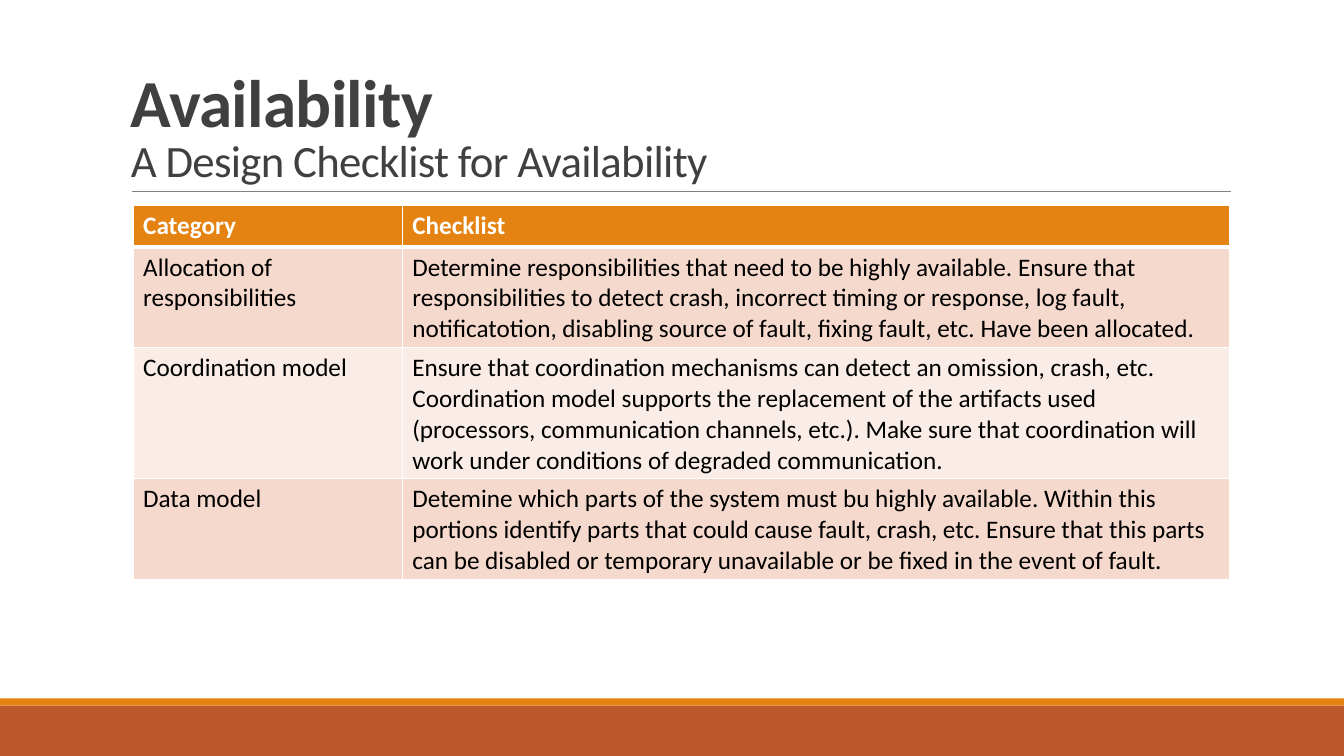
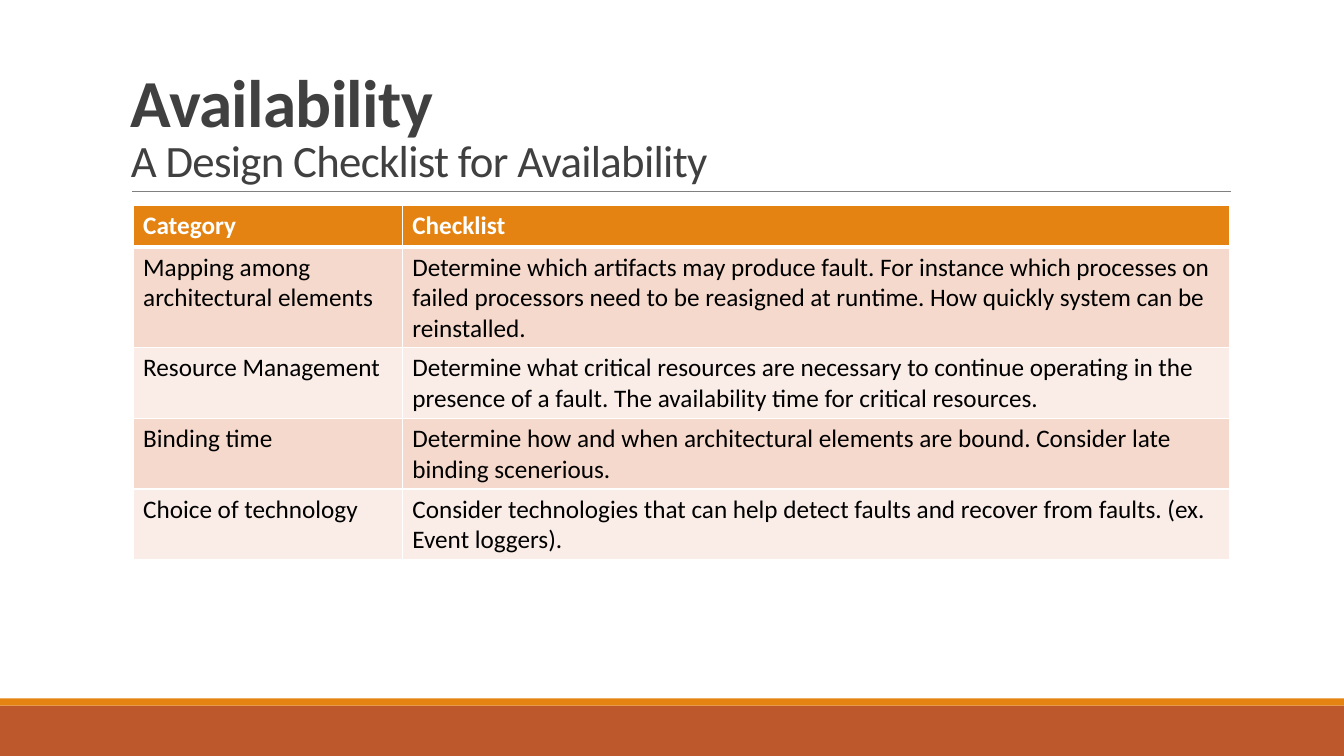
from dataclasses import dataclass

from lxml import etree
from pptx import Presentation
from pptx.dml.color import RGBColor
from pptx.enum import shapes, text
from pptx.oxml import ns
from pptx.util import Inches, Pt


@dataclass(frozen=True)
class Theme:
    font: str = "Calibri"
    rust: str = "BD582C"
    amber: str = "E48312"
    rule: str = "808080"
    ink: str = "404040"
    body: str = "000000"
    white: str = "FFFFFF"
    bands: tuple = ("F5D9CC", "FAEDE7")
    head: int = 48
    sub: int = 32
    cell: int = 18
    thin: float = 1
    thick: float = 3


THEME = Theme()
WIDE, HIGH = 13.33, 7.5
TITLE = "Availability"
TOPIC = "A Design Checklist for Availability"
HEADS = ("Category", "Checklist")
COLS = (2.67, 8.21)
ROW = 0.41

LISTS = [
    [
        ("Allocation of responsibilities",
         "Determine responsibilities that need to be highly available. Ensure that "
         "responsibilities to detect crash, incorrect timing or response, log fault, "
         "notificatotion, disabling source of fault, fixing fault, etc. Have been allocated."),
        ("Coordination model",
         "Ensure that coordination mechanisms can detect an omission, crash, etc. "
         "Coordination model supports the replacement of the artifacts used "
         "(processors, communication channels, etc.). Make sure that coordination will "
         "work under conditions of degraded communication."),
        ("Data model",
         "Detemine which parts of the system must bu highly available. Within this "
         "portions identify parts that could cause fault, crash, etc. Ensure that this parts "
         "can be disabled or temporary unavailable or be fixed in the event of fault."),
    ],
    [
        ("Mapping among architectural elements",
         "Determine which artifacts may produce fault. For instance which processes on "
         "failed processors need to be reasigned at runtime. How quickly system can be "
         "reinstalled."),
        ("Resource Management",
         "Determine what critical resources are necessary to continue operating in the "
         "presence of a fault. The availability time for critical resources."),
        ("Binding time",
         "Determine how and when architectural elements are bound. Consider late "
         "binding scenerious."),
        ("Choice of technology",
         "Consider technologies that can help detect faults and recover from faults. (ex. "
         "Event loggers)."),
    ],
]


def paint(fill, color):
    fill.solid()
    fill.fore_color.rgb = RGBColor.from_string(color)


def write(para, words, size, color, bold=False):
    run = para.add_run()
    run.text = words
    form = {"name": THEME.font, "size": Pt(size), "bold": bold}
    for key, value in form.items():
        setattr(run.font, key, value)
    run.font.color.rgb = RGBColor.from_string(color)
    return run


def add_bands(slide, top, height, strip):
    """Draw the footer band with a thin strip on its upper edge."""
    for y, h, color in ((top, height, THEME.rust), (top - strip, strip, THEME.amber)):
        band = slide.shapes.add_shape(
            shapes.MSO_SHAPE.RECTANGLE, 0, Inches(y), Inches(WIDE), Inches(h))
        paint(band.fill, color)
        band.line.fill.background()
        band.shadow.inherit = False


def add_title(slide, left, top, width, height):
    """Set the two-line title on the bottom of its box, with a rule below."""
    base = Inches(top + height)
    rule = slide.shapes.add_connector(
        shapes.MSO_CONNECTOR.STRAIGHT, Inches(left + 0.11), base,
        Inches(left + width + 0.01), base)
    rule.line.width = Pt(0.5)
    rule.line.color.rgb = RGBColor.from_string(THEME.rule)
    etree.SubElement(rule.element.spPr, ns.qn("a:effectLst"))

    box = slide.shapes.add_textbox(
        Inches(left), Inches(top), Inches(width), Inches(height))
    frame = box.text_frame
    form = {"word_wrap": True, "vertical_anchor": text.MSO_ANCHOR.BOTTOM}
    for key, value in form.items():
        setattr(frame, key, value)
    para = frame.paragraphs[0]
    para.line_spacing = 0.85
    head = write(para, TITLE, THEME.head, THEME.ink, True)
    para.add_line_break()
    sub = write(para, TOPIC, THEME.sub, THEME.ink)
    for run in (head, sub):
        run.font._element.set("spc", "-50")


def add_edges(cell, widths):
    """Put white borders on a cell; widths maps side letters to points."""
    props = cell._tc.get_or_add_tcPr()
    for spot, side in enumerate("LRTB"):
        edge = etree.Element(ns.qn("a:ln" + side), w=str(Pt(widths[side])))
        fill = etree.SubElement(edge, ns.qn("a:solidFill"))
        etree.SubElement(fill, ns.qn("a:srgbClr"), val=THEME.white)
        props.insert(spot, edge)


def add_list(slide, left, top, items):
    """Draw the checklist table with a header and banded rows."""
    rows = [HEADS, *items]
    table = slide.shapes.add_table(
        len(rows), len(COLS), Inches(left), Inches(top),
        Inches(sum(COLS)), Inches(ROW * len(rows))).table
    for col, width in zip(table.columns, COLS):
        col.width = Inches(width)
    for r, words in enumerate(rows):
        table.rows[r].height = Inches(ROW)
        first = r == 0
        back = THEME.amber if first else THEME.bands[(r - 1) % 2]
        ink = THEME.white if first else THEME.body
        widths = dict.fromkeys("LRTB", THEME.thin)
        if r < 2:
            widths["B" if first else "T"] = THEME.thick
        for c, word in enumerate(words):
            cell = table.cell(r, c)
            paint(cell.fill, back)
            add_edges(cell, widths)
            write(cell.text_frame.paragraphs[0], word, THEME.cell, ink, first)


def add_page(deck, items):
    slide = deck.slides.add_slide(deck.slide_layouts[6])
    paint(slide.background.fill, THEME.white)
    add_bands(slide, 7, 0.5, 0.07)
    add_title(slide, 1.2, 0.31, 11, 1.59)
    add_list(slide, 1.32, 2.04, items)


def main():
    deck = Presentation()
    deck.slide_width, deck.slide_height = Inches(WIDE), Inches(HIGH)
    for items in LISTS:
        add_page(deck, items)
    deck.save("out.pptx")


if __name__ == "__main__":
    main()
